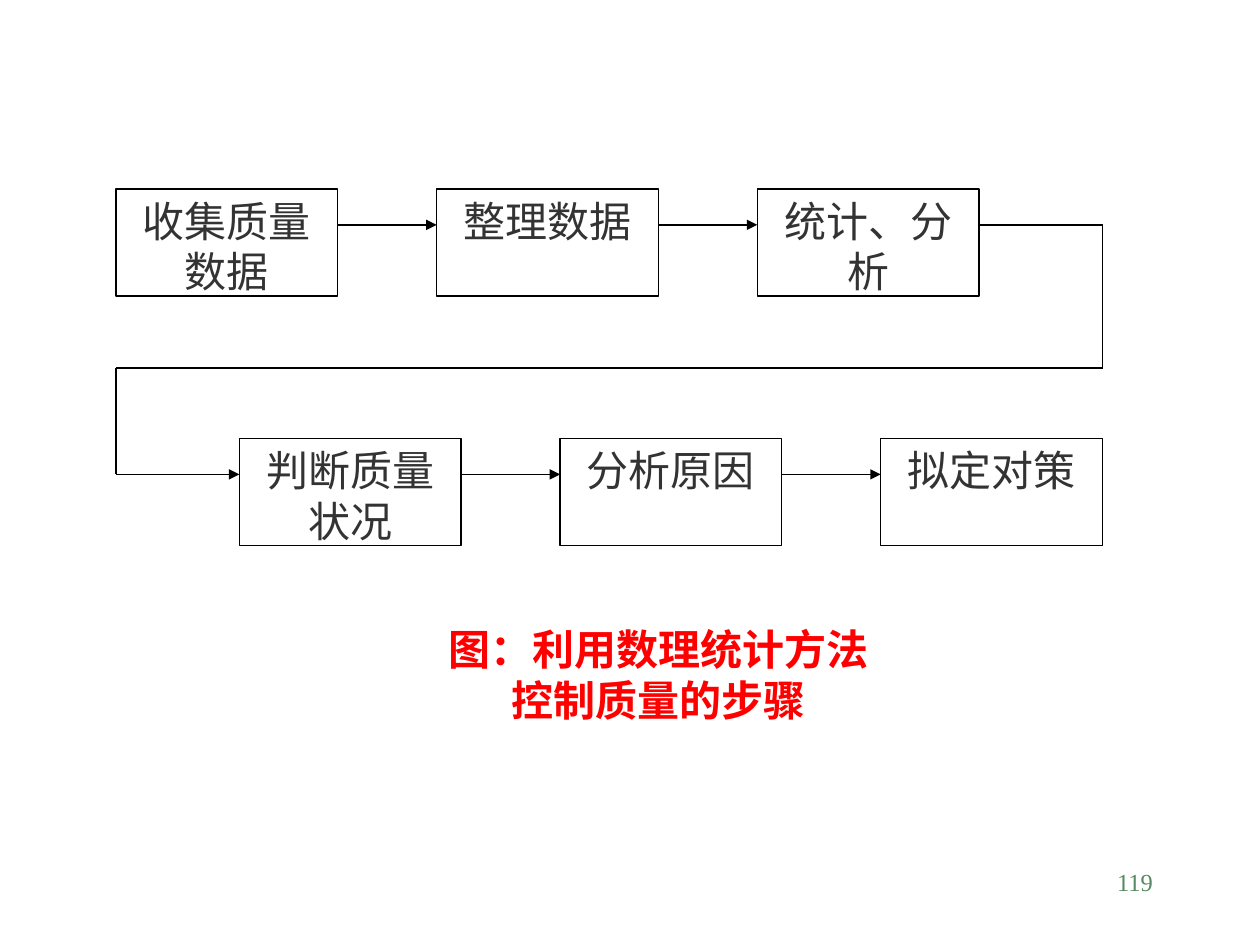
from lxml.etree import SubElement
from pptx import Presentation
from pptx.dml.color import RGBColor
from pptx.enum.shapes import MSO_CONNECTOR, MSO_SHAPE
from pptx.enum.text import MSO_ANCHOR, PP_ALIGN
from pptx.oxml.ns import qn
from pptx.util import Inches, Pt

deck = Presentation()
deck.slide_width, deck.slide_height = Inches(10), Inches(7.5)
page = deck.slides.add_slide(deck.slide_layouts[6])

# Grid: three columns per row, the second row shifted right
LEFT, RIGHT = 0.92, 8.75
BOX_WIDTH, BOX_HEIGHT = 1.76, 0.85
COLUMN_STEP = 2.545
SHIFT = 0.98
ARROW_DROP = 0.285
TURN_Y = 2.92
rows = [
    (LEFT, 1.5, ["收集质量数据", "整理数据", "统计、分析"]),
    (LEFT + SHIFT, 3.48, ["判断质量状况", "分析原因", "拟定对策"]),
]


def add_text_box(place, lines, color, fill="FFFFFF", border=None, size=24,
                 bold=False, align=PP_ALIGN.CENTER):
    box = page.shapes.add_shape(MSO_SHAPE.RECTANGLE, *map(Inches, place))
    box.shadow.inherit = False
    if fill:
        box.fill.solid()
        box.fill.fore_color.rgb = RGBColor.from_string(fill)
    else:
        box.fill.background()
    if border:
        box.line.color.rgb = RGBColor.from_string(border)
        box.line.width = Pt(0.75)
    else:
        box.line.fill.background()
    frame = box.text_frame
    frame.word_wrap = True
    frame.vertical_anchor = MSO_ANCHOR.TOP
    for index, text in enumerate(lines):
        para = frame.add_paragraph() if index else frame.paragraphs[0]
        para.alignment = align
        span = para.add_run()
        span.text = text
        for name, value in dict(name="Times New Roman", size=Pt(size), bold=bold).items():
            setattr(span.font, name, value)
        span.font.color.rgb = RGBColor.from_string(color)


def add_line(start, end, arrow=False):
    line = page.shapes.add_connector(MSO_CONNECTOR.STRAIGHT, *map(Inches, start + end))
    line.line.color.rgb = RGBColor.from_string("000000")
    line.line.width = Pt(0.75)
    if arrow:
        SubElement(line.line._get_or_add_ln(), qn("a:tailEnd"), type="triangle")
    SubElement(line._element.spPr, qn("a:effectLst"))


# Steps, with an arrow from each one to the next in its row
for row_left, top, steps in rows:
    arrow_y = top + ARROW_DROP
    for column, step in enumerate(steps):
        left = row_left + column * COLUMN_STEP
        add_text_box((left, top, BOX_WIDTH, BOX_HEIGHT), [step], "333333", border="000000")
        if column:
            add_line((left - COLUMN_STEP + BOX_WIDTH, arrow_y), (left, arrow_y), arrow=True)

# Route from the end of the first row round to the start of the second
first_y, second_y = (top + ARROW_DROP for _, top, _ in rows)
route = [(RIGHT - SHIFT, first_y), (RIGHT, first_y), (RIGHT, TURN_Y),
         (LEFT, TURN_Y), (LEFT, second_y), (LEFT + SHIFT, second_y)]
for start, end in zip(route, route[1:]):
    add_line(start, end, arrow=end == route[-1])

add_text_box((3.07, 4.9, 4.31, BOX_HEIGHT), ["图：利用数理统计方法", "控制质量的步骤"],
             "FF0000", bold=True)
add_text_box((7.17, 6.83, 2.08, 0.5), ["119"], "578963", fill=None, size=14,
             align=PP_ALIGN.RIGHT)

deck.save("out.pptx")
